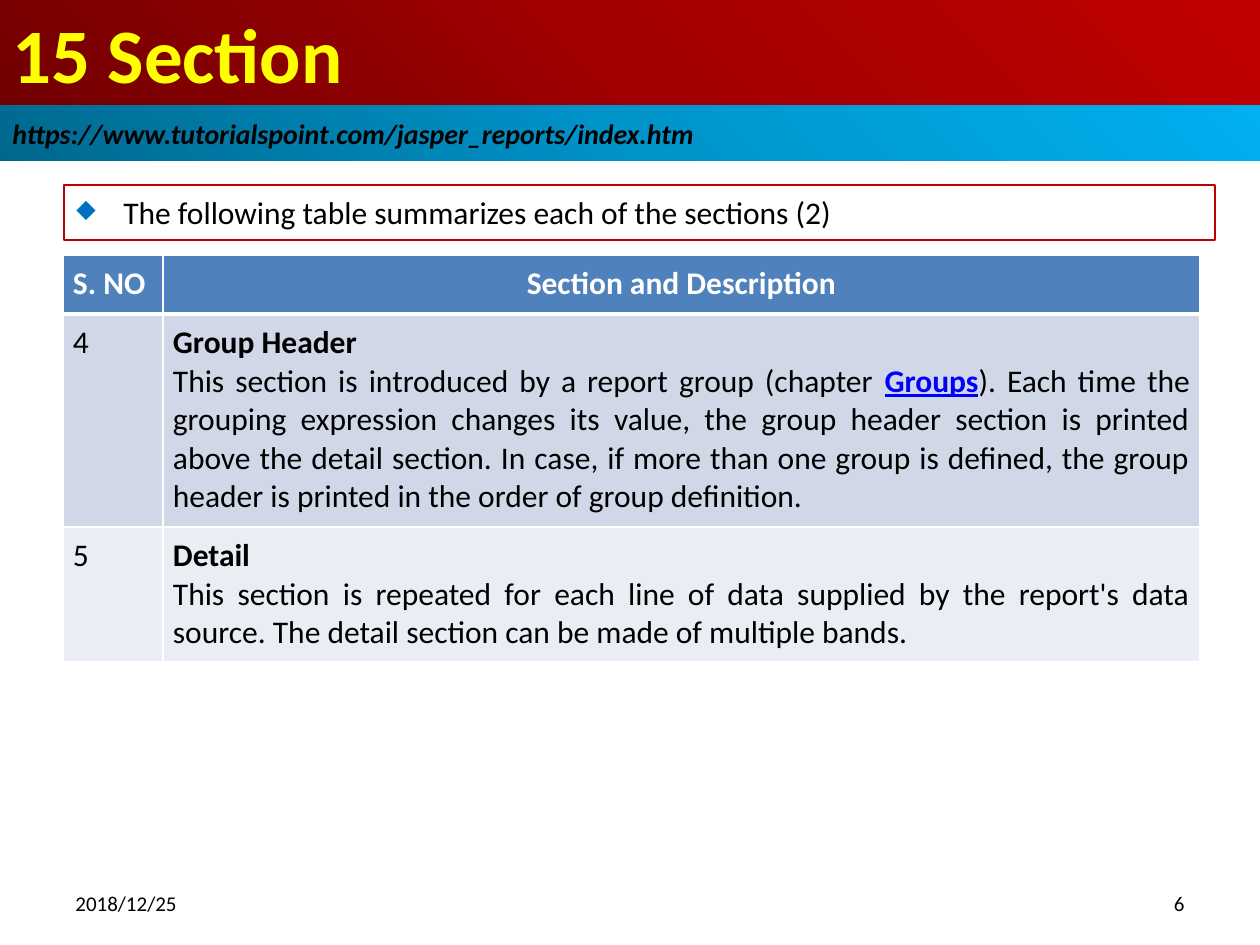
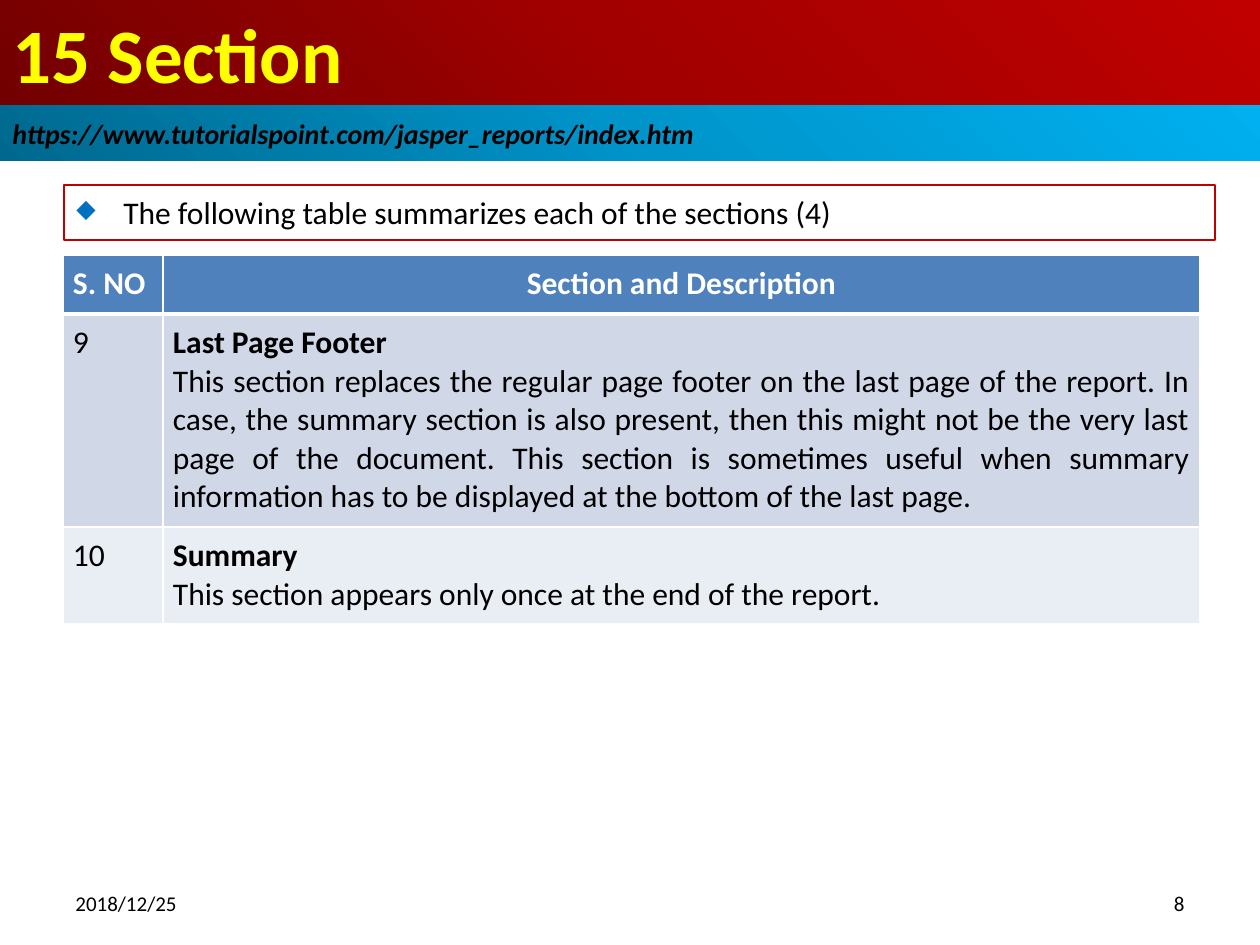
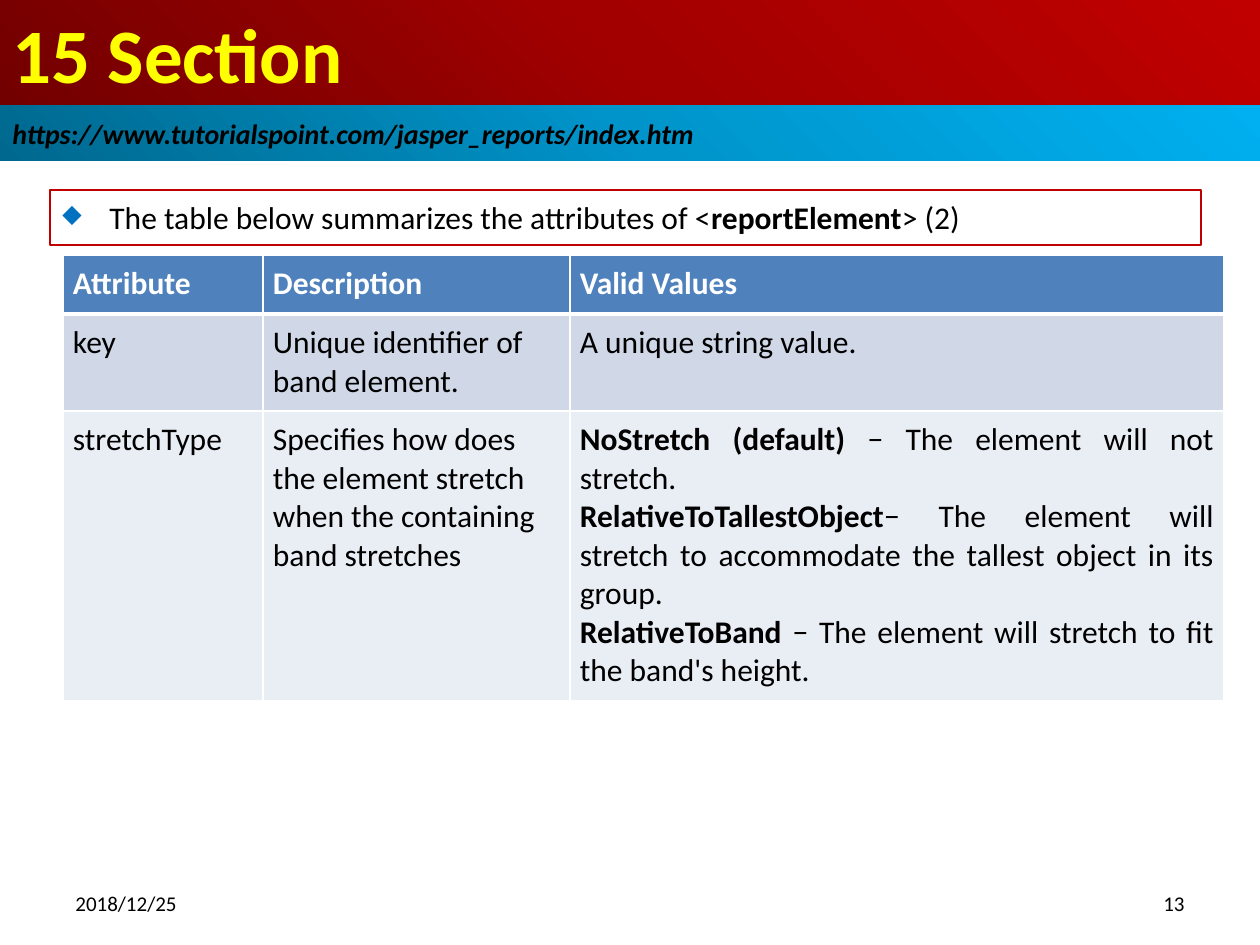
import pptx
import pptx.dml.color
import pptx.enum.shapes
import pptx.enum.text
import pptx.oxml
import pptx.oxml.ns
import pptx.util

PX_PER_INCH = 126
FONT = "Calibri"
COLORS = {
    "title": "FFFF00",
    "text": "000000",
    "white": "FFFFFF",
    "frame": "C00000",
    "bullet": "0070C0",
    "link": "0000FF",
    "header": "4F81BD",
    "odd_row": "D0D8E8",
    "even_row": "E9EDF4",
}
RED_BAND = ("720000", "A20000", "C00000")
BLUE_BAND = ("00688E", "0094CA", "00B0F0")
TITLE_BOX = (0, 0, 1260, 105)
SOURCE_BOX = (0, 105, 1260, 56)
DATE_BOX = (63, 876, 294, 55)
NUMBER_BOX = (903, 876, 294, 55)
ALIGN = pptx.enum.text.PP_ALIGN
ANCHOR = pptx.enum.text.MSO_ANCHOR

SECTION_HEADINGS = [("S. NO", ALIGN.LEFT), ("Section and Description", ALIGN.CENTER)]
ATTRIBUTE_HEADINGS = [(name, ALIGN.LEFT) for name in ("Attribute", "Description", "Valid Values")]


def px(length):
    return pptx.util.Emu(round(length * 914400 / PX_PER_INCH))


def box_emu(box):
    return [px(length) for length in box]


def color(name):
    return pptx.dml.color.RGBColor.from_string(COLORS[name])


def xml(markup):
    return pptx.oxml.parse_xml(markup.replace(" ", f" {pptx.oxml.ns.nsdecls('a')} ", 1))


def style(paragraph, size, tint="text", bold=None, italic=None, align=ALIGN.LEFT):
    paragraph.alignment = align
    font = paragraph.font
    font.name, font.size = FONT, pptx.util.Pt(size)
    font.bold, font.italic = bold, italic
    font.color.rgb = color(tint)


def add_runs(paragraph, runs):
    for text, look in runs:
        run = paragraph.add_run()
        run.text = text
        if look in ("bold", "link"):
            run.font.bold = True
        if look == "link":
            run.font.underline = True
            run.font.color.rgb = color("link")


def plain_rectangle(slide, box):
    rectangle = slide.shapes.add_shape(pptx.enum.shapes.MSO_SHAPE.RECTANGLE, *box_emu(box))
    rectangle.shadow.inherit = False
    rectangle.fill.background()
    rectangle.line.fill.background()
    rectangle.text_frame.word_wrap = True
    return rectangle


def add_band(slide, box, shades, text, size, tint, italic=None):
    band = plain_rectangle(slide, box)
    stops = "".join(
        f'<a:gs pos="{position}"><a:srgbClr val="{shade}"/></a:gs>'
        for position, shade in zip((0, 50000, 100000), shades)
    )
    properties = band.element.spPr
    properties.replace(
        properties.find(pptx.oxml.ns.qn("a:noFill")),
        xml(
            f'<a:gradFill rotWithShape="1"><a:gsLst>{stops}</a:gsLst><a:path path="circle">'
            '<a:fillToRect t="100000" r="100000"/></a:path></a:gradFill>'
        ),
    )
    band.text_frame.vertical_anchor = ANCHOR.MIDDLE
    paragraph = band.text_frame.paragraphs[0]
    paragraph.text = text
    style(paragraph, size, tint, bold=True, italic=italic)


def add_footer(slide, box, text, align):
    frame = slide.shapes.add_textbox(*box_emu(box)).text_frame
    frame.word_wrap = True
    frame.vertical_anchor = ANCHOR.MIDDLE
    frame.paragraphs[0].text = text
    style(frame.paragraphs[0], 12, align=align)


def add_summary(slide, box, runs):
    summary = plain_rectangle(slide, box)
    summary.line.color.rgb = color("frame")
    summary.line.width = pptx.util.Pt(0.75)
    frame = summary.text_frame
    frame.vertical_anchor = ANCHOR.TOP
    frame.margin_top = px(8)
    paragraph = frame.paragraphs[0]
    properties = paragraph._p.get_or_add_pPr()
    properties.set("marL", str(px(47)))
    properties.set("indent", str(-px(47)))
    for markup in (
        f'<a:buClr ><a:srgbClr val="{COLORS["bullet"]}"/></a:buClr>',
        '<a:buSzPct val="80000"/>',
        '<a:buChar char="◆"/>',
    ):
        properties.append(xml(markup))
    style(paragraph, 18)
    add_runs(paragraph, runs)


def format_cell(cell, fill, top, bottom):
    cell.margin_left = cell.margin_right = cell.margin_top = cell.margin_bottom = px(10)
    properties = cell._tc.get_or_add_tcPr()
    for side, points in (("L", 1), ("R", 1), ("T", top), ("B", bottom)):
        properties.append(xml(
            f'<a:ln{side} w="{pptx.util.Pt(points)}"><a:solidFill>'
            f'<a:srgbClr val="{COLORS["white"]}"/></a:solidFill></a:ln{side}>'
        ))
    cell.fill.solid()
    cell.fill.fore_color.rgb = color(fill)


def fill_cell(cell, paragraphs, align, tint="text", bold=None):
    for index, runs in enumerate(paragraphs):
        paragraph = cell.text_frame.paragraphs[0] if index == 0 else cell.text_frame.add_paragraph()
        style(paragraph, 18, tint, bold, align=align)
        add_runs(paragraph, runs)


def add_details(slide, left, top, widths, heights, headings, rows):
    frame = slide.shapes.add_table(
        len(heights), len(widths), *box_emu((left, top, sum(widths), sum(heights)))
    )
    table = frame.table
    table.first_row = table.horz_banding = False
    for column, width in zip(table.columns, widths):
        column.width = px(width)
    for row, height in zip(table.rows, heights):
        row.height = px(height)
    for column, (heading, align) in enumerate(headings):
        cell = table.cell(0, column)
        format_cell(cell, "header", 1, 3)
        fill_cell(cell, [[(heading, "")]], align, "white", True)
    for number, row in enumerate(rows, 1):
        for column, content in enumerate(row):
            cell = table.cell(number, column)
            format_cell(cell, "odd_row" if number % 2 else "even_row", 3 if number == 1 else 1, 1)
            if isinstance(content, str):
                fill_cell(cell, [[(content, "")]], ALIGN.LEFT)
            else:
                fill_cell(cell, content, ALIGN.JUSTIFY)


def add_section_slide(deck, number, summary_box, summary, widths, heights, headings, rows):
    slide = deck.slides.add_slide(deck.slide_layouts[6])
    add_band(slide, TITLE_BOX, RED_BAND, "15 Section", 44, "title")
    add_summary(slide, summary_box, summary)
    add_band(slide, SOURCE_BOX, BLUE_BAND,
             "https://www.tutorialspoint.com/jasper_reports/index.htm", 16, "text", True)
    add_footer(slide, DATE_BOX, "2018/12/25", ALIGN.LEFT)
    add_footer(slide, NUMBER_BOX, str(number), ALIGN.RIGHT)
    add_details(slide, 63, 255, widths, heights, headings, rows)


def add_sections(deck, number, part, heights, rows):
    summary = [(f"The following table summarizes each of the sections ({part})", "")]
    described = [
        (label, [[(name, "bold")], description]) for label, name, description in rows
    ]
    add_section_slide(deck, number, (64, 185, 1151, 55), summary, (100, 1037), heights,
                      SECTION_HEADINGS, described)


def add_attributes(deck, number):
    summary = [
        ("The table below summarizes the attributes of <", ""),
        ("reportElement", "bold"),
        ("> (2)", ""),
    ]
    stretch_values = [
        [("NoStretch (default)", "bold"), (" − The element will not stretch.", "")],
        [("RelativeToTallestObject", "bold"),
         ("− The element will stretch to accommodate the tallest object in its group.", "")],
        [("RelativeToBand", "bold"),
         (" − The element will stretch to fit the band's height.", "")],
    ]
    rows = [
        ("key", "Unique identifier of band element.", "A unique string value."),
        ("stretchType",
         "Specifies how does the element stretch when the containing band stretches",
         stretch_values),
    ]
    add_section_slide(deck, number, (50, 190, 1151, 55), summary, (200, 307, 654),
                      (59, 97, 290), ATTRIBUTE_HEADINGS, rows)


def main():
    deck = pptx.Presentation()
    deck.slide_width, deck.slide_height = px(1260), px(945)
    add_sections(deck, 6, 2, (59, 213, 135), [
        ("4", "Group Header", [
            ("This section is introduced by a report group (chapter ", ""),
            ("Groups", "link"),
            ("). Each time the grouping expression changes its value, the group header section "
             "is printed above the detail section. In case, if more than one group is defined, "
             "the group header is printed in the order of group definition.", ""),
        ]),
        ("5", "Detail", [
            ("This section is repeated for each line of data supplied by the report's data "
             "source. The detail section can be made of multiple bands.", ""),
        ]),
    ])
    add_sections(deck, 8, 4, (59, 213, 97), [
        ("9", "Last Page Footer", [
            ("This section replaces the regular page footer on the last page of the report. "
             "In case, the summary section is also present, then this might not be the very "
             "last page of the document. This section is sometimes useful when summary "
             "information has to be displayed at the bottom of the last page.", ""),
        ]),
        ("10", "Summary", [("This section appears only once at the end of the report.", "")]),
    ])
    add_attributes(deck, 13)
    deck.save("out.pptx")


if __name__ == "__main__":
    main()
